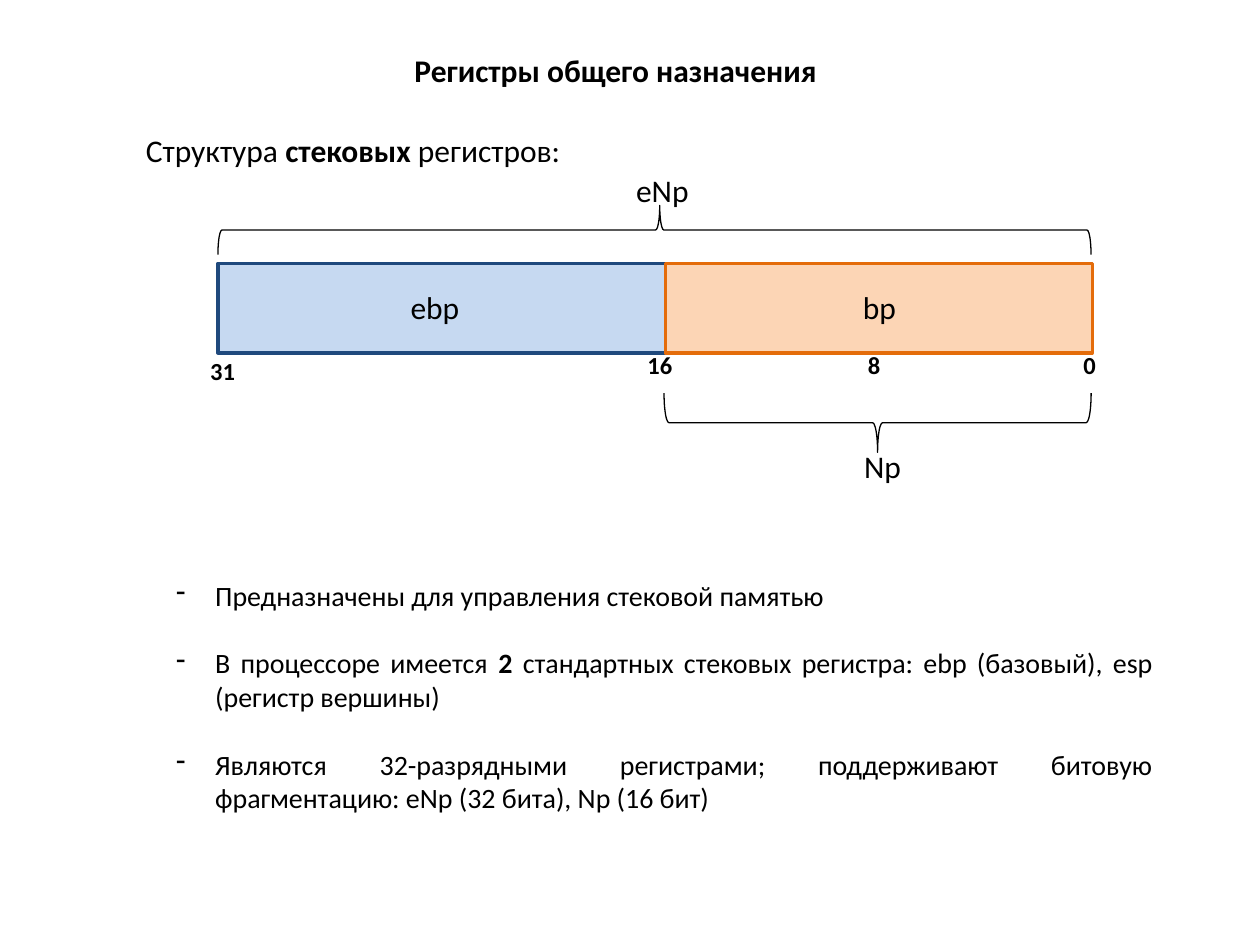
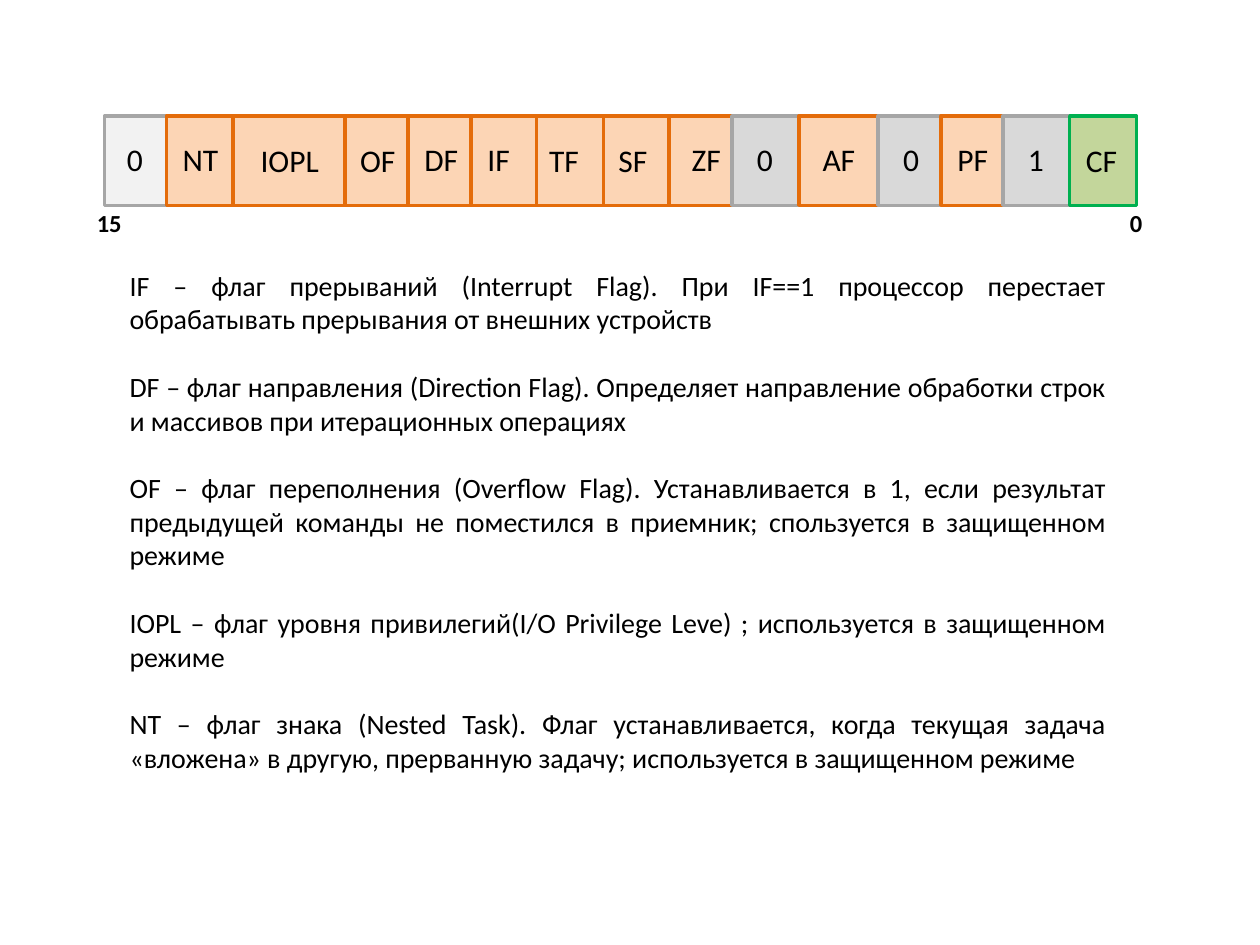
from lxml.etree import SubElement
from pptx import Presentation
from pptx.dml.color import RGBColor
from pptx.enum.shapes import MSO_SHAPE as Preset
from pptx.enum.text import MSO_AUTO_SIZE as Fit, PP_ALIGN as Align
from pptx.oxml.ns import qn
from pptx.util import Inches, Pt

BLACK = RGBColor(0x00, 0x00, 0x00)
BLUE, NAVY = RGBColor(0xC6, 0xD9, 0xF1), RGBColor(0x1F, 0x49, 0x7D)
PEACH, ORANGE = RGBColor(0xFC, 0xD5, 0xB5), RGBColor(0xE4, 0x6C, 0x0A)
PALE, SILVER = RGBColor(0xF2, 0xF2, 0xF2), RGBColor(0xD9, 0xD9, 0xD9)
GREY = RGBColor(0xA6, 0xA6, 0xA6)
LIME, GREEN = RGBColor(0xC3, 0xD6, 0x9B), RGBColor(0x00, 0xB0, 0x50)

HIGH_HALF, FLAG = (BLUE, NAVY), (PEACH, ORANGE)
TOP_BIT, RESERVED, CARRY = (PALE, GREY), (SILVER, GREY), (LIME, GREEN)

FONT = {"name": "Calibri", "bold": False}
LABEL = {**FONT, "size": Pt(18)}
TITLE = {**LABEL, "bold": True}
BIT = {**FONT, "size": Pt(14), "bold": True}
BODY = {**FONT, "size": Pt(16)}

CELL_HEIGHT = 0.71
LABEL_HEIGHT, BIT_HEIGHT = 0.4, 0.34
BODY_WIDTH = 7.95
BODY_GAP = Pt(19.5)
BULLET_INDENT = Inches(0.31)

REGISTER_TOP = 2.09
REGISTER_PARTS = [(1.73, 6.93, HIGH_HALF), (5.28, 3.39, FLAG)]
REGISTER_BRACES = [
    (6.73, 1.66, 0.47, 3.39, False, (0.083, 0.5)),
    (5, -1.64, 0.39, 6.93, True, (0.083, 0.494)),
]
REGISTER_LABELS = [
    ("Np", 6.76, 3.5, 0.5), ("eNp", 4.95, 1.31, 0.62),
    ("bp", 6.75, 2.24, 0.47), ("ebp", 3.16, 2.24, 0.59),
]
REGISTER_BITS = [
    ("0", 8.5, 2.73, 0.3), ("8", 6.79, 2.73, 0.3),
    ("16", 5.04, 2.73, 0.4), ("31", 1.57, 2.78, 0.4),
]
HEADING = "Регистры общего назначения"
SUBHEADING = ["Структура ", ("стековых ",), "регистров:"]
STACK_FACTS = [
    ["Предназначены для управления стековой памятью"],
    ["В процессоре имеется", (" 2 ",),
     "стандартных стековых регистра: ebp (базовый), esp (регистр вершины)"],
    ["Являются 32-разрядными регистрами; поддерживают битовую фрагментацию: "
     "eNp (32 бита), Np (16 бит)"],
]

FLAGS_TOP = 0.92
FLAG_LABEL_TOP, LOWER_LABEL_TOP = 1.06, 1.07
LOWER_LABELS = {"IOPL", "OF", "TF", "SF", "CF"}
FLAG_CELLS = [
    ("0", 0.83, 0.53, TOP_BIT, 0.91, 0.33),
    ("NT", 1.32, 0.53, FLAG, 1.35, 0.49),
    ("IOPL", 1.85, 0.89, FLAG, 1.97, 0.67),
    ("OF", 2.74, 0.53, FLAG, 2.76, 0.48),
    ("DF", 3.24, 0.53, FLAG, 3.27, 0.47),
    ("IF", 3.74, 0.53, FLAG, 3.77, 0.38),
    ("TF", 4.26, 0.53, FLAG, 4.26, 0.44),
    ("SF", 4.79, 0.53, FLAG, 4.81, 0.43),
    ("ZF", 5.31, 0.53, FLAG, 5.39, 0.44),
    ("0", 5.81, 0.53, RESERVED, 5.91, 0.33),
    ("AF", 6.34, 0.67, FLAG, 6.43, 0.46),
    ("0", 6.97, 0.53, RESERVED, 7.07, 0.33),
    ("PF", 7.47, 0.53, FLAG, 7.5, 0.45),
    ("1", 7.96, 0.53, RESERVED, 8.06, 0.33),
    ("CF", 8.49, 0.53, CARRY, 8.52, 0.45),
]
FLAG_BITS = [("0", 8.87, 1.6, 0.3), ("15", 0.67, 1.6, 0.4)]
FLAG_NOTES = [
    ["IF – флаг прерываний (Interrupt Flag). При IF==1 процессор перестает "
     "обрабатывать прерывания от внешних устройств"],
    ["DF – флаг направления (Direction Flag). Определяет направление обработки "
     "строк и массивов при итерационных операциях"],
    ["OF – флаг переполнения (Overflow Flag). Устанавливается в 1, если результат "
     "предыдущей команды не поместился в приемник; спользуется в защищенном режиме"],
    ["IOPL – флаг уровня привилегий(I/O Privilege Leve) ; используется в "
     "защищенном режиме"],
    ["NT – флаг знака (Nested Task). Флаг устанавливается, когда текущая задача "
     "«вложена» в другую, прерванную задачу; используется в защищенном режиме"],
]


def write(paragraph, pieces, style):
    for piece in pieces:
        strong = isinstance(piece, tuple)
        run = paragraph.add_run()
        run.text = piece[0] if strong else piece
        for attribute, value in style.items():
            setattr(run.font, attribute, value)
        run.font.bold = strong or style["bold"]
        run.font.color.rgb = BLACK


def add_frame(slide, left, top, width, height, wrap):
    box = slide.shapes.add_textbox(*map(Inches, (left, top, width, height)))
    box.text_frame.word_wrap = wrap
    box.text_frame.auto_size = Fit.SHAPE_TO_FIT_TEXT
    return box.text_frame


def add_label(slide, pieces, left, top, width, style=LABEL):
    height = BIT_HEIGHT if style is BIT else LABEL_HEIGHT
    frame = add_frame(slide, left, top, width, height, False)
    write(frame.paragraphs[0], pieces, style)


def add_body(slide, left, top, height, entries, bullet=None):
    frame = add_frame(slide, left, top, BODY_WIDTH, height, True)
    for index, pieces in enumerate(entries):
        paragraph = frame.add_paragraph() if index else frame.paragraphs[0]
        if bullet:
            properties = paragraph._p.get_or_add_pPr()
            properties.set("marL", str(BULLET_INDENT))
            properties.set("indent", str(-BULLET_INDENT))
            SubElement(properties, qn("a:buChar"), char=bullet)
        paragraph.alignment = Align.JUSTIFY
        if index:
            paragraph.space_before = BODY_GAP
        write(paragraph, pieces, BODY)


def add_outline(slide, preset, place, colour, weight):
    outline = slide.shapes.add_shape(preset, *map(Inches, place))
    outline.shadow.inherit = False
    outline.line.color.rgb = colour
    outline.line.width = Pt(weight)
    return outline


def add_cell(slide, left, top, width, palette):
    fill, edge = palette
    cell = add_outline(slide, Preset.RECTANGLE, (left, top, width, CELL_HEIGHT), edge, 2)
    cell.fill.solid()
    cell.fill.fore_color.rgb = fill


def add_brace(slide, left, top, width, height, flipped, bends):
    brace = add_outline(slide, Preset.RIGHT_BRACE, (left, top, width, height), BLACK, 0.75)
    brace.fill.background()
    brace.rotation = 90
    for index, bend in enumerate(bends):
        brace.adjustments[index] = bend
    if flipped:
        brace._element.spPr.xfrm.set("flipH", "1")


def build_stack_registers(slide):
    add_label(slide, [HEADING], 3.19, 0.36, 3.43, TITLE)
    for left, width, palette in REGISTER_PARTS:
        add_cell(slide, left, REGISTER_TOP, width, palette)
    for brace in REGISTER_BRACES:
        add_brace(slide, *brace)
    for name, *place in REGISTER_LABELS:
        add_label(slide, [name], *place)
    add_label(slide, SUBHEADING, 1.06, 0.99, 3.53)
    for number, *place in REGISTER_BITS:
        add_label(slide, [number], *place, BIT)
    add_body(slide, 1.3, 4.54, 1.99, STACK_FACTS, "-")


def build_flags(slide):
    add_body(slide, 0.93, 2.08, 4.14, FLAG_NOTES)
    for name, left, width, palette, label_left, label_width in FLAG_CELLS:
        add_cell(slide, left, FLAGS_TOP, width, palette)
        label_top = LOWER_LABEL_TOP if name in LOWER_LABELS else FLAG_LABEL_TOP
        add_label(slide, [name], label_left, label_top, label_width)
    for number, *place in FLAG_BITS:
        add_label(slide, [number], *place, BIT)


def main():
    deck = Presentation()
    deck.slide_width, deck.slide_height = Inches(10), Inches(7.5)
    blank = deck.slide_layouts[6]
    for build in (build_stack_registers, build_flags):
        build(deck.slides.add_slide(blank))
    deck.save("out.pptx")


if __name__ == "__main__":
    main()
